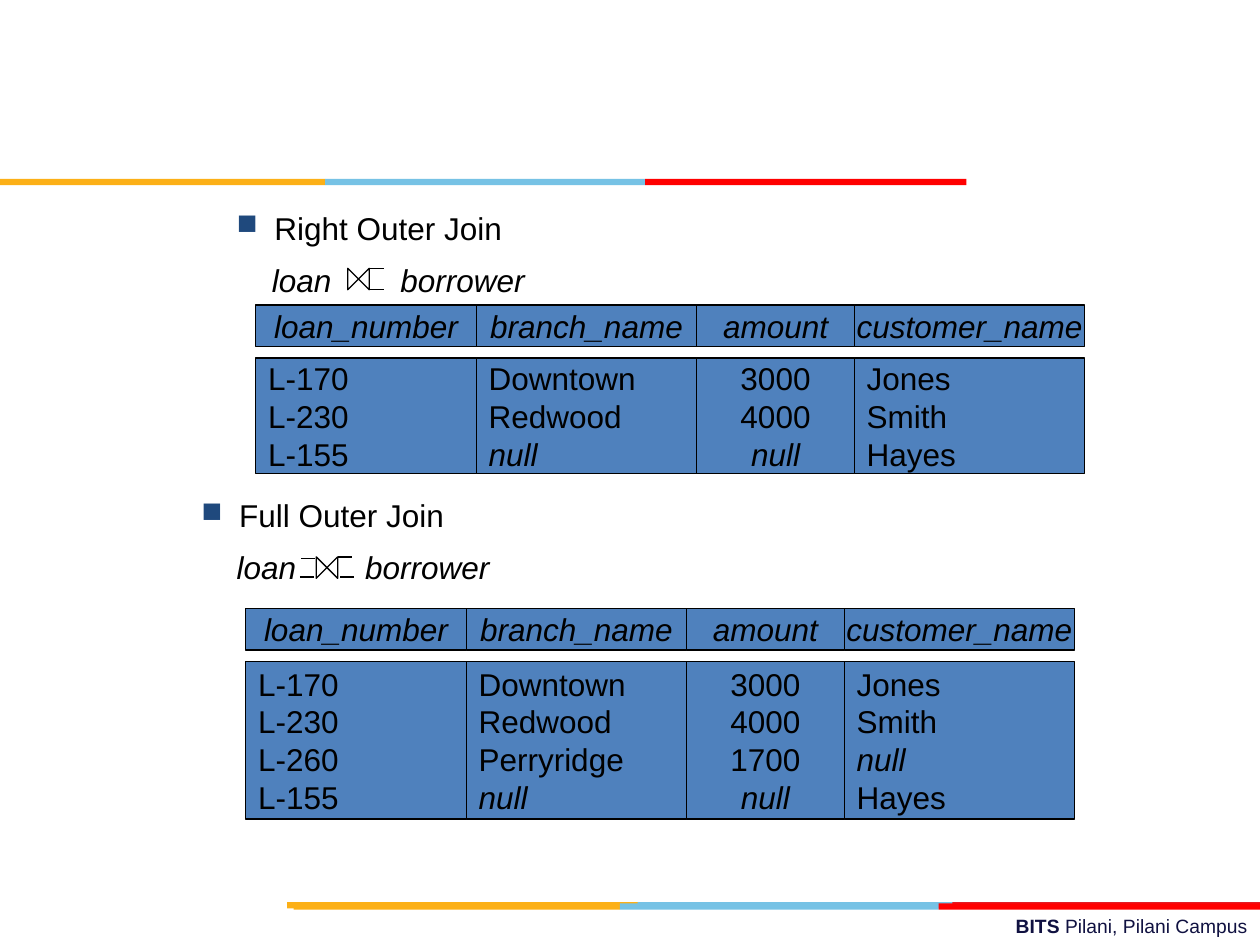
from lxml import etree
from pptx import Presentation
from pptx.dml.color import RGBColor
from pptx.enum.shapes import MSO_CONNECTOR, MSO_SHAPE
from pptx.enum.text import MSO_ANCHOR, PP_ALIGN
from pptx.oxml.ns import qn
from pptx.util import Inches, Pt

LEFT, CENTER, RIGHT = PP_ALIGN.LEFT, PP_ALIGN.CENTER, PP_ALIGN.RIGHT
TOP, MIDDLE = MSO_ANCHOR.TOP, MSO_ANCHOR.MIDDLE
RECT, BOWTIE = MSO_SHAPE.RECTANGLE, MSO_SHAPE.FLOWCHART_COLLATE
STRAIGHT = MSO_CONNECTOR.STRAIGHT

FONT, BLACK, TABLE_BLUE, BULLET_BLUE, NAVY = "Arial", "000000", "4F81BD", "1F497D", "101141"
GOLD, SKY, RED, DARK_RED = "FCB017", "76C2E5", "FF0000", "E31C24"
STRIPE_HEIGHT = 0.05
STRIPES = [
    (7.16, [(2.28, 5.08, GOLD), (5.06, 7.58, SKY), (7.56, 10, DARK_RED)]),
    (7.17, [(2.33, 4.92, GOLD), (4.92, 7.45, SKY), (7.45, 10, RED)]),
    (1.42, [(0, 2.58, GOLD), (2.58, 5.12, SKY), (5.12, 7.67, RED)]),
]
FOOTER = [("BITS ", {"bold": True}), ("Pilani, Pilani Campus", {})]

COLUMNS = [("loan_number", 1.75, LEFT), ("branch_name", 1.75, LEFT),
           ("amount", 1.25, CENTER), ("customer_name", 1.83, LEFT)]
HEADER_HEIGHT, BODY_OFFSET = 0.33, 0.42
SYMBOL_SIZE = 0.17
JOINS = [
    {
        "title": "Right Outer Join", "text_at": (1.78, 1.61), "symbol_at": (2.76, 2.13),
        "ticks": [(2.94, 3.05, 2.13), (2.94, 3.05, 2.3)],
        "table_at": (2.03, 2.42), "body_height": 0.92,
        "rows": [("L-170", "Downtown", "3000", "Jones"),
                 ("L-230", "Redwood", "4000", "Smith"),
                 ("L-155", "null", "null", "Hayes")],
    },
    {
        "title": "Full Outer Join", "text_at": (1.5, 3.89), "symbol_at": (2.51, 4.42),
        "ticks": [(2.39, 2.5, 4.43), (2.38, 2.49, 4.58),
                  (2.7, 2.81, 4.58), (2.68, 2.79, 4.42)],
        "table_at": (1.95, 4.83), "body_height": 1.25,
        "rows": [("L-170", "Downtown", "3000", "Jones"),
                 ("L-230", "Redwood", "4000", "Smith"),
                 ("L-260", "Perryridge", "1700", "null"),
                 ("L-155", "null", "null", "Hayes")],
    },
]


def rgb(color):
    return RGBColor.from_string(color)


def write(frame, lines, size=18, color=BLACK, align=LEFT, anchor=TOP, wrap=True):
    """Fill a text frame with lines, each a list of (text, font format) runs."""
    frame.word_wrap, frame.vertical_anchor = wrap, anchor
    for index, runs in enumerate(lines):
        paragraph = frame.add_paragraph() if index else frame.paragraphs[0]
        paragraph.alignment = align
        for text, style in runs:
            run = paragraph.add_run()
            run.text = text
            font = run.font
            font.name, font.size = FONT, Pt(size)
            font.color.rgb = rgb(color)
            font.bold = style.get("bold", False)
            font.italic = style.get("italic", False)


def add_block(slide, left, top, width, height, fill=None, outlined=False, kind=RECT):
    block = slide.shapes.add_shape(kind, Inches(left), Inches(top), Inches(width), Inches(height))
    block.shadow.inherit = False
    if fill:
        block.fill.solid()
        block.fill.fore_color.rgb = rgb(fill)
    else:
        block.fill.background()
    if outlined:
        block.line.color.rgb = rgb(BLACK)
        block.line.width = Pt(0.75)
    else:
        block.line.fill.background()
    return block


def add_text_box(slide, left, top, width, height):
    box = slide.shapes.add_textbox(Inches(left), Inches(top), Inches(width), Inches(height))
    return box.text_frame


def add_tick(slide, start, end, y):
    tick = slide.shapes.add_connector(STRAIGHT, Inches(start), Inches(y), Inches(end), Inches(y))
    tick.line.color.rgb = rgb(BLACK)
    tick.line.width = Pt(0.75)
    etree.SubElement(tick._element.spPr, qn("a:effectLst"))


def set_bullet(paragraph, indent):
    properties = paragraph._p.get_or_add_pPr()
    properties.set("marL", str(Inches(indent)))
    properties.set("indent", str(-Inches(indent)))
    bullet_color = etree.SubElement(properties, qn("a:buClr"))
    etree.SubElement(bullet_color, qn("a:srgbClr"), val=BULLET_BLUE)
    etree.SubElement(properties, qn("a:buSzPct"), val="90000")
    etree.SubElement(properties, qn("a:buChar"), char="■")


def set_tabs(paragraph, *stops):
    tabs = etree.SubElement(paragraph._p.get_or_add_pPr(), qn("a:tabLst"))
    for stop in stops:
        etree.SubElement(tabs, qn("a:tab"), pos=str(Inches(stop)), algn="l")


def add_table_blocks(slide, join):
    left, top = join["table_at"]
    for (header, width, align), values in zip(COLUMNS, zip(*join["rows"])):
        head = add_block(slide, left, top, width, HEADER_HEIGHT, TABLE_BLUE, True)
        write(head.text_frame, [[(header, {"italic": True})]],
              align=CENTER, anchor=MIDDLE, wrap=False)
        body = add_block(slide, left, top + BODY_OFFSET, width, join["body_height"],
                         TABLE_BLUE, True)
        write(body.text_frame, [[(value, {"italic": value == "null"})] for value in values],
              align=align, anchor=MIDDLE, wrap=False)
        left += width


def add_expression(slide, join):
    frame = add_text_box(slide, *join["text_at"], 4.45, 0.81)
    write(frame, [[(join["title"], {})], [("\tloan\tborrower", {"italic": True})]])
    title, formula = frame.paragraphs
    set_bullet(title, 0.3)
    formula.space_before = Pt(7.9)
    set_tabs(formula, 0.28, 1.3)
    symbol = add_block(slide, *join["symbol_at"], SYMBOL_SIZE, SYMBOL_SIZE,
                       outlined=True, kind=BOWTIE)
    symbol.rotation = 90
    for tick in join["ticks"]:
        add_tick(slide, *tick)


def main():
    deck = Presentation()
    deck.slide_width, deck.slide_height = Inches(10), Inches(7.5)
    slide = deck.slides.add_slide(deck.slide_layouts[6])
    write(add_text_box(slide, 3.58, 7.21, 6.42, 0.29), [FOOTER], size=11, color=NAVY, align=RIGHT)
    for top, bands in STRIPES:
        for start, end, color in bands:
            add_block(slide, start, top, end - start, STRIPE_HEIGHT, color)
    for join in JOINS:
        add_table_blocks(slide, join)
        add_expression(slide, join)
    deck.save("out.pptx")


if __name__ == "__main__":
    main()
